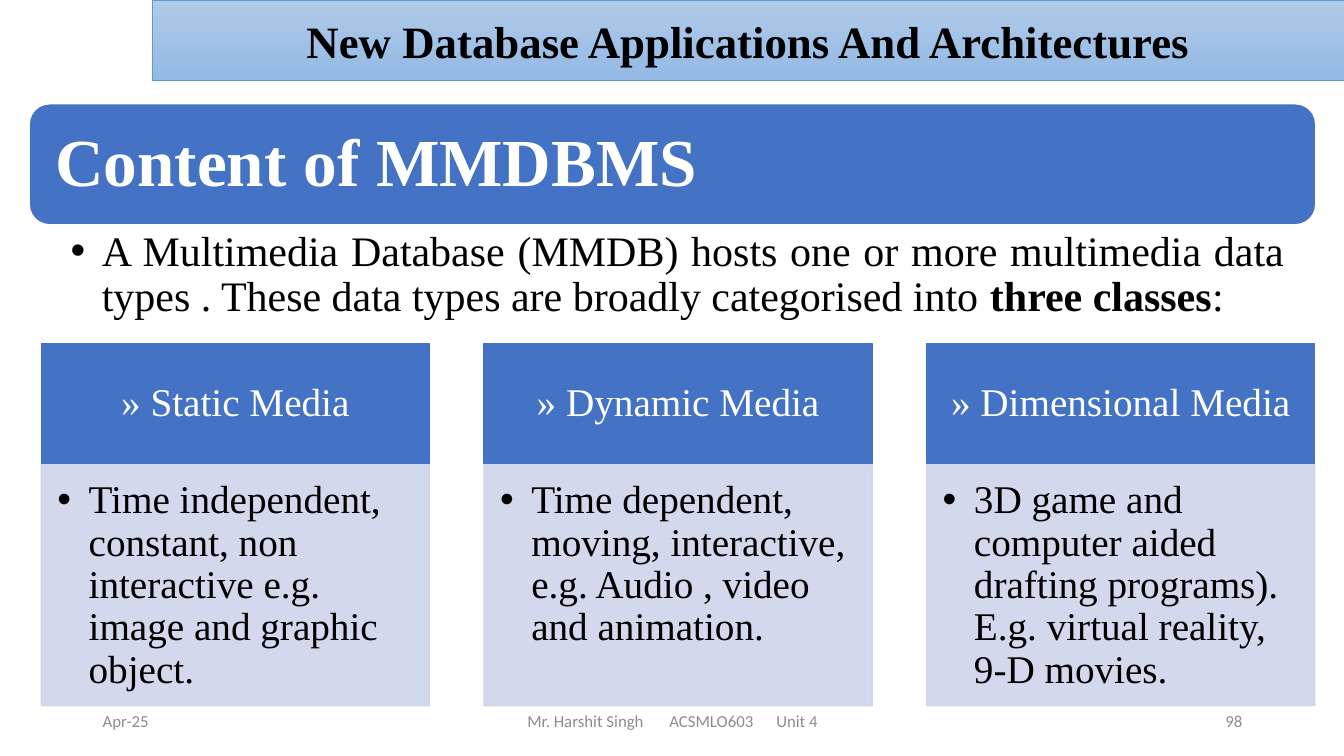
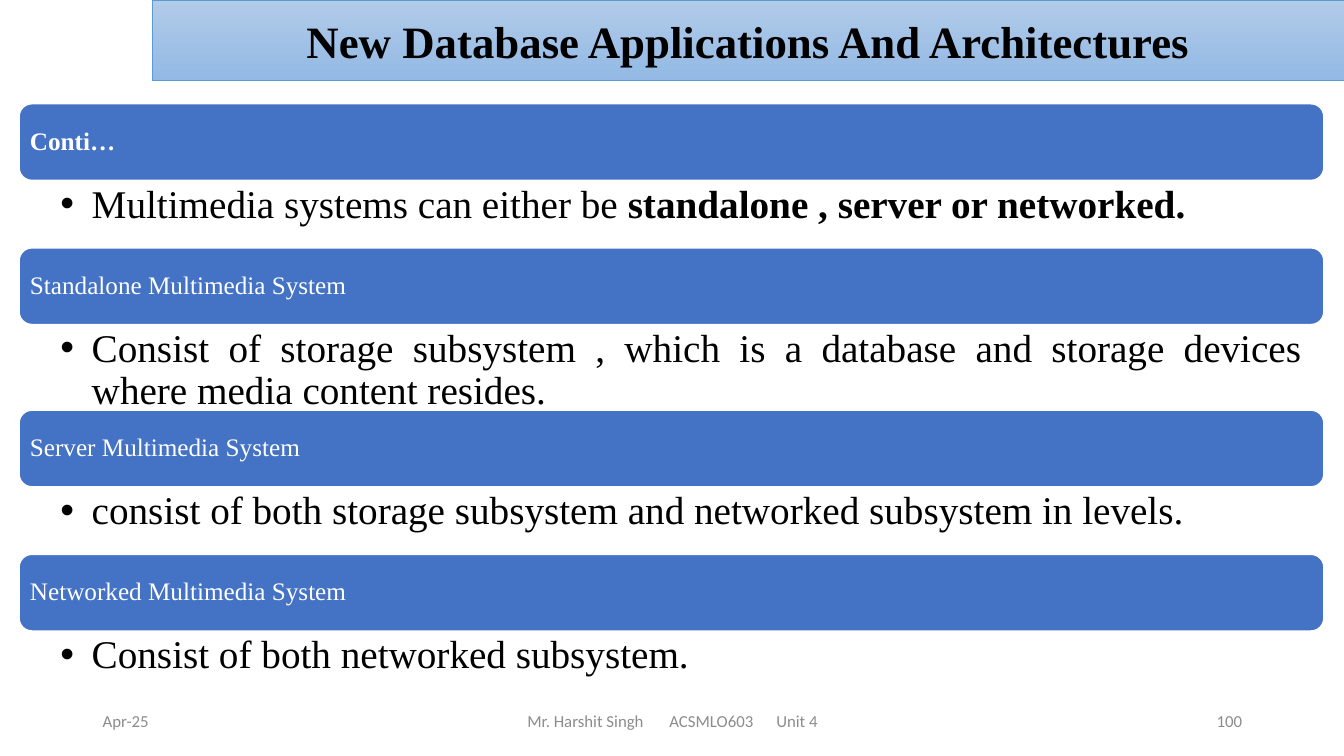
from dataclasses import dataclass

from lxml import etree
from pptx import Presentation
from pptx import util as u
from pptx.dml.color import RGBColor
from pptx.enum import shapes, text
from pptx.oxml import ns
from pptx.shapes.autoshape import Shape
from pptx.slide import Slide

EMU_PER_PX = 9144
BODY_FONT = "Times New Roman"
FOOTER_FONT = "Calibri"
HANGING_INDENT = 31
COMPARISON_LAYOUT = 4
DECK_TITLE = "New Database Applications And Architectures"
COLORS = {
    "band_top": "B1CBE9",
    "band_bottom": "93B9E4",
    "band_line": "5B9BD5",
    "accent": "4472C4",
    "panel": "CFD5EA",
    "white": "FFFFFF",
    "black": "000000",
    "footer": "8C8C8C",
}
LEFT, CENTER = text.PP_ALIGN.LEFT, text.PP_ALIGN.CENTER
RIGHT, JUSTIFY = text.PP_ALIGN.RIGHT, text.PP_ALIGN.JUSTIFY
TOP, MIDDLE = text.MSO_ANCHOR.TOP, text.MSO_ANCHOR.MIDDLE


@dataclass(frozen=True)
class Box:
    """A rectangle in px."""

    left: int
    top: int
    width: int
    height: int


@dataclass(frozen=True)
class Card:
    """A media class with its description."""

    heading: str
    description: str


@dataclass(frozen=True)
class Section:
    """A bar heading with the list under it."""

    heading: str
    description: str
    list_height: int = 67


CARDS = (
    Card("» Static Media",
         "Time independent, constant, non interactive e.g. image and graphic object."),
    Card("» Dynamic Media",
         "Time dependent, moving, interactive, e.g. Audio , video and animation."),
    Card("» Dimensional Media",
         "3D game and computer aided drafting programs). E.g. virtual reality, 9-D movies."),
)
SECTIONS = (
    Section("**Conti…**",
            "Multimedia systems can either be **standalone , server or networked.**"),
    Section("Standalone Multimedia System",
            "Consist of storage subsystem , which is a database and storage devices "
            "where media content resides.", 85),
    Section("Server Multimedia System",
            "consist of both storage subsystem and networked subsystem in levels."),
    Section("Networked Multimedia System", "Consist of both networked subsystem."),
)


def px(length: int) -> u.Emu:
    """Turn px into EMU."""
    return u.Emu(length * EMU_PER_PX)


def rgb(name: str) -> RGBColor:
    """Look up a colour."""
    return RGBColor.from_string(COLORS[name])


def place(shape: Shape, box: Box) -> None:
    """Move and size a shape."""
    shape.left, shape.top = px(box.left), px(box.top)
    shape.width, shape.height = px(box.width), px(box.height)


def paint(shape: Shape, fill: str, line: str, alpha: int = 100) -> None:
    """Give a shape a solid fill and a thin line."""
    shape.fill.solid()
    shape.fill.fore_color.rgb = rgb(fill)
    shape.line.color.rgb = rgb(line)
    shape.line.width = u.Pt(1)
    if alpha < 100:
        for color in shape._element.spPr.iter(ns.qn("a:srgbClr")):
            etree.SubElement(color, ns.qn("a:alpha"), val=str(alpha * 1000))


def write_text(shape: Shape, content: str, *, size: int, color: str = "black",
               font: str = BODY_FONT, align: text.PP_ALIGN = LEFT,
               anchor: text.MSO_ANCHOR = MIDDLE, spacing: float = 0.9,
               insets: tuple[int, int, int, int] = (10, 5, 10, 5),
               bullet: bool = False, tabs: tuple[int, ...] = ()) -> None:
    """Write one paragraph in which ** switches bold on and off."""
    frame = shape.text_frame
    frame.word_wrap = True
    frame.auto_size = text.MSO_AUTO_SIZE.NONE
    frame.vertical_anchor = anchor
    (frame.margin_left, frame.margin_top,
     frame.margin_right, frame.margin_bottom) = map(px, insets)
    paragraph = frame.paragraphs[0]
    properties = paragraph._p.get_or_add_pPr()
    if bullet:
        properties.set("marL", str(px(HANGING_INDENT)))
        properties.set("indent", str(px(-HANGING_INDENT)))
        etree.SubElement(properties, ns.qn("a:buFont"), typeface="Arial")
        etree.SubElement(properties, ns.qn("a:buChar"), char="•")
    if tabs:
        tab_list = etree.SubElement(properties, ns.qn("a:tabLst"))
        for position in tabs:
            etree.SubElement(tab_list, ns.qn("a:tab"), pos=str(px(position)), algn="l")
    paragraph.alignment = align
    paragraph.line_spacing = spacing
    paragraph.space_before = paragraph.space_after = u.Pt(0)
    for index, part in enumerate(content.split("**")):
        if part:
            run = paragraph.add_run()
            run.text = part
            run.font.name = font
            run.font.size = u.Pt(size)
            run.font.bold = index % 2 == 1
            run.font.color.rgb = rgb(color)


def add_block(slide: Slide, kind: shapes.MSO_SHAPE, box: Box, line: str) -> Shape:
    """Add an accent shape for a heading."""
    shape = slide.shapes.add_shape(kind, 0, 0, 0, 0)
    place(shape, box)
    shape.shadow.inherit = False
    paint(shape, "accent", line)
    return shape


def add_bar(slide: Slide, box: Box, heading: str, size: int, inset: int) -> None:
    """Add a rounded heading bar."""
    bar = add_block(slide, shapes.MSO_SHAPE.ROUNDED_RECTANGLE, box, "white")
    write_text(bar, heading, size=size, color="white", insets=(inset,) * 4)


def fill_list(slide: Slide, index: int, box: Box, content: str, *, size: int = 28,
              align: text.PP_ALIGN = JUSTIFY,
              insets: tuple[int, int, int, int] = (41, 4, 22, 4)) -> Shape:
    """Move a body placeholder and write its bullet."""
    body = slide.placeholders[index]
    place(body, box)
    write_text(body, content, size=size, align=align, anchor=TOP,
               insets=insets, bullet=True)
    return body


def add_footer(slide: Slide, box: Box, content: str, *, align: text.PP_ALIGN = LEFT,
               inset: int = 10, tabs: tuple[int, ...] = ()) -> None:
    """Add one footer text."""
    shape = slide.shapes.add_textbox(0, 0, 0, 0)
    place(shape, box)
    write_text(shape, content, size=12, color="footer", font=FOOTER_FONT, align=align,
               spacing=1.0, insets=(inset, 5, 10, 5), tabs=tabs)


def add_base_slide(presentation: Presentation, number: int) -> Slide:
    """Add a slide with the title band and footers."""
    slide = presentation.slides.add_slide(presentation.slide_layouts[COMPARISON_LAYOUT])
    title = slide.shapes.title
    place(title, Box(151, 0, 1182, 80))
    title.fill.gradient()
    title.fill.gradient_angle = 270
    for stop, name in zip(title.fill.gradient_stops, ("band_top", "band_bottom")):
        stop.color.rgb = rgb(name)
    title.line.color.rgb = rgb("band_line")
    title.line.width = u.Pt(0.5)
    write_text(title, f"**{DECK_TITLE}**", size=32, align=CENTER, spacing=1.0)
    add_footer(slide, Box(92, 695, 300, 40), "Apr-25")
    add_footer(slide, Box(942, 695, 300, 40), str(number), align=RIGHT)
    add_footer(slide, Box(442, 695, 450, 40), "Mr. Harshit Singh\tACSMLO603\tUnit 4",
               inset=81, tabs=(141, 247))
    return slide


def build_content_slide(presentation: Presentation) -> None:
    """Build the slide on the three media classes."""
    slide = add_base_slide(presentation, 98)
    add_bar(slide, Box(29, 103, 1276, 120), "**Content of MMDBMS**", 48, 20)
    fill_list(slide, 1, Box(29, 223, 1276, 95),
              "A Multimedia Database (MMDB) hosts one or more multimedia data types . "
              "These data types are broadly categorised into **three classes**:",
              size=30, insets=(41, 5, 30, 5))
    width, gap = 385, 54
    for index, card in enumerate(CARDS):
        left = 41 + index * (width + gap)
        heading = add_block(slide, shapes.MSO_SHAPE.RECTANGLE,
                            Box(left, 341, width, 119), "accent")
        write_text(heading, card.heading, size=28, color="white", align=CENTER,
                   insets=(22, 12, 22, 12))
        panel = fill_list(slide, index + 2, Box(left, 460, width, 240), card.description,
                          align=LEFT, insets=(16, 16, 22, 24))
        paint(panel, "panel", "panel", alpha=90)


def build_systems_slide(presentation: Presentation) -> None:
    """Build the slide on the kinds of multimedia system."""
    slide = add_base_slide(presentation, 100)
    left, top, width, bar_height = 19, 103, 1294, 76
    for index, section in enumerate(SECTIONS, start=1):
        add_bar(slide, Box(left, top, width, bar_height), section.heading, 18, 7)
        top += bar_height
        fill_list(slide, index, Box(left, top, width, section.list_height),
                  section.description)
        top += section.list_height


def main() -> None:
    """Build and save the presentation."""
    presentation = Presentation()
    presentation.slide_width, presentation.slide_height = px(1333), px(750)
    build_content_slide(presentation)
    build_systems_slide(presentation)
    presentation.save("out.pptx")


if __name__ == "__main__":
    main()
